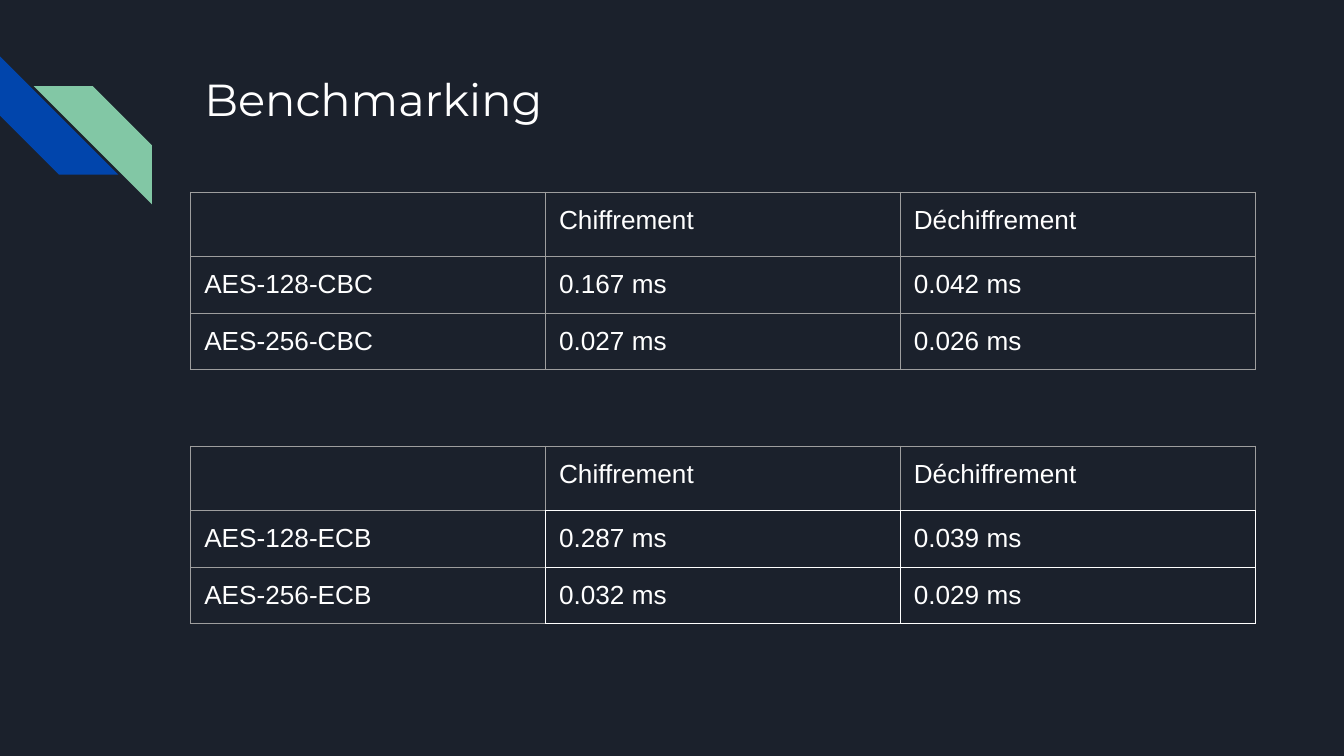
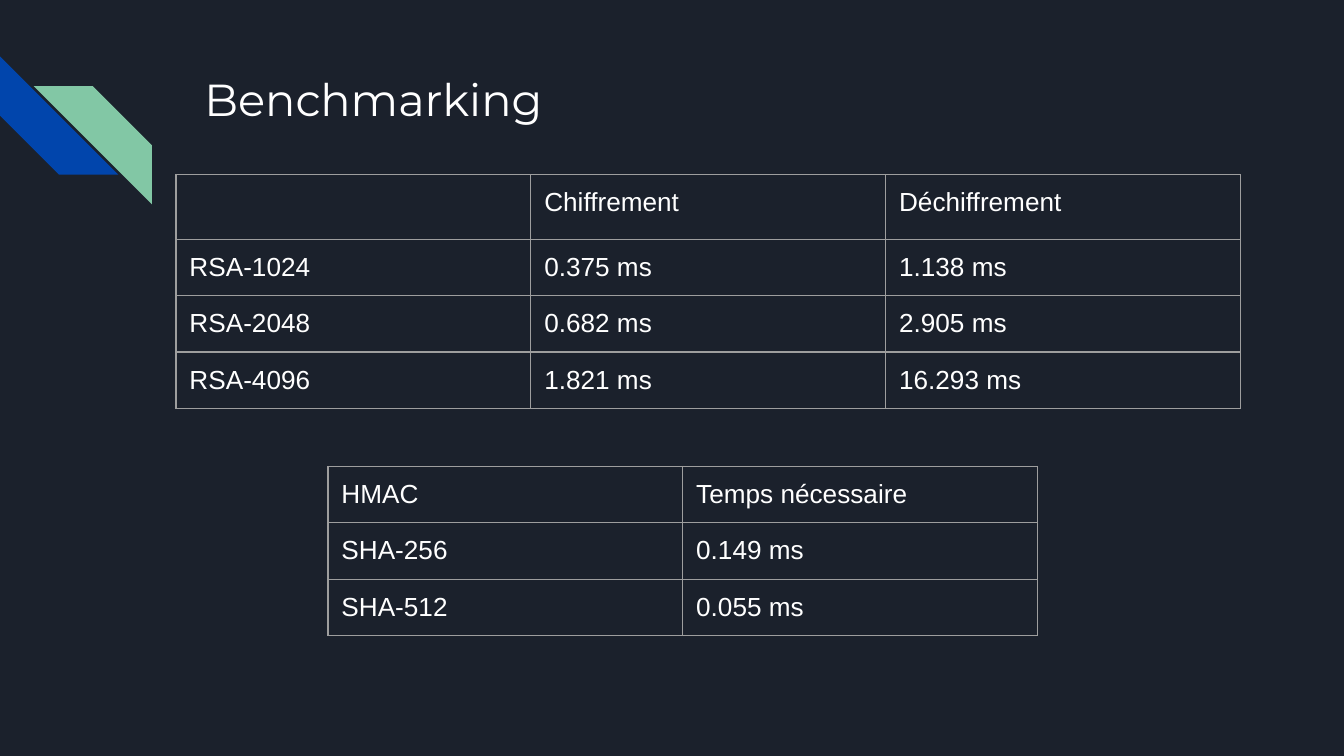
from lxml import etree
from pptx import Presentation
from pptx.dml.color import RGBColor
from pptx.enum import shapes, text
from pptx.oxml import ns
from pptx.util import Inches, Pt

NIGHT = RGBColor(0x1B, 0x21, 0x2C)
BLUE = RGBColor(0x01, 0x45, 0xAC)
GREEN = RGBColor(0x82, 0xC7, 0xA5)
GREY = RGBColor(0x9E, 0x9E, 0x9E)
WHITE = RGBColor(0xFF, 0xFF, 0xFF)

TITLE_FONT = "Montserrat"
BODY_FONT = "Arial"
COLUMN_WIDTH = 2.64
ROW_HEIGHT = 0.42
TALL_HEADER = 0.48
STRIPE_SIZE = 0.88
INSET = Inches(0.1)

OPERATIONS = ("", "Chiffrement", "Déchiffrement")
CBC_TIMES = [
    OPERATIONS,
    ("AES-128-CBC", "0.167 ms", "0.042 ms"),
    ("AES-256-CBC", "0.027 ms", "0.026 ms"),
]
ECB_TIMES = [
    OPERATIONS,
    ("AES-128-ECB", "0.287 ms", "0.039 ms"),
    ("AES-256-ECB", "0.032 ms", "0.029 ms"),
]
RSA_TIMES = [
    OPERATIONS,
    ("RSA-1024", "0.375 ms", "1.138 ms"),
    ("RSA-2048", "0.682 ms", "2.905 ms"),
    ("RSA-4096", "1.821 ms", "16.293 ms"),
]
HMAC_TIMES = [
    ("HMAC", "Temps nécessaire"),
    ("SHA-256", "0.149 ms"),
    ("SHA-512", "0.055 ms"),
]


def write(frame, words, font=BODY_FONT, size=14, color=WHITE):
    paragraph = frame.paragraphs[0]
    paragraph.alignment = text.PP_ALIGN.LEFT
    run = paragraph.add_run()
    run.text = words
    run.font.name = font
    run.font.size = Pt(size)
    run.font.color.rgb = color


def set_margins(holder):
    holder.margin_left = holder.margin_right = INSET
    holder.margin_top = holder.margin_bottom = INSET


def add_stripe(slide, left, top, color, rotation=0, mirrored=False):
    stripe = slide.shapes.add_shape(
        shapes.MSO_SHAPE.DIAGONAL_STRIPE,
        Inches(left), Inches(top), Inches(STRIPE_SIZE), Inches(STRIPE_SIZE))
    stripe.adjustments[0] = 0.5
    stripe.rotation = rotation
    stripe.shadow.inherit = False
    stripe.fill.solid()
    stripe.fill.fore_color.rgb = color
    stripe.line.fill.background()
    if mirrored:
        stripe.element.spPr.xfrm.set("flipH", "1")


def set_title(slide, words):
    title = slide.shapes.title
    title.left, title.top = Inches(1.42), Inches(0.43)
    title.width, title.height = Inches(7.7), Inches(1)
    frame = title.text_frame
    frame.auto_size = text.MSO_AUTO_SIZE.NONE
    frame.vertical_anchor = text.MSO_ANCHOR.TOP
    set_margins(frame)
    write(frame, words, font=TITLE_FONT, size=24)


def set_borders(cell, colors):
    """Draw the left, right, top and bottom edges in the given colours."""
    properties = cell._tc.get_or_add_tcPr()
    for position, (side, color) in enumerate(zip("LRTB", colors)):
        edge = etree.Element(ns.qn(f"a:ln{side}"), w=str(Pt(0.75)))
        fill = etree.SubElement(edge, ns.qn("a:solidFill"))
        etree.SubElement(fill, ns.qn("a:srgbClr"), val=str(color))
        properties.insert(position, edge)


def edge_colors(row, column, value_border):
    """The border colour of the values also shows on the edges they share."""
    if row and column:
        return [value_border] * 4
    right = value_border if row else GREY
    bottom = value_border if column else GREY
    return [GREY, right, GREY, bottom]


def add_timing_table(slide, left, top, timings, value_border=GREY):
    columns = len(timings[0])
    table = slide.shapes.add_table(
        len(timings), columns, Inches(left), Inches(top),
        Inches(COLUMN_WIDTH * columns), Inches(ROW_HEIGHT * len(timings))).table
    table.first_row = table.horz_banding = False
    for column in table.columns:
        column.width = Inches(COLUMN_WIDTH)
    for r, values in enumerate(timings):
        table.rows[r].height = Inches(ROW_HEIGHT if values[0] else TALL_HEADER)
        for c, value in enumerate(values):
            cell = table.cell(r, c)
            set_margins(cell)
            cell.fill.background()
            set_borders(cell, edge_colors(r, c, value_border))
            write(cell.text_frame, value)


def add_benchmark_slide(prs):
    slide = prs.slides.add_slide(prs.slide_layouts.get_by_name("Title Only"))
    add_stripe(slide, 0, 0.42, BLUE, rotation=270)
    add_stripe(slide, 0.25, 0.64, GREEN, mirrored=True)
    set_title(slide, "Benchmarking")
    return slide


def main():
    prs = Presentation()
    prs.slide_width = Inches(10)
    prs.slide_height = prs.slide_width * 9 // 16
    background = prs.slide_master.background.fill
    background.solid()
    background.fore_color.rgb = NIGHT

    symmetric = add_benchmark_slide(prs)
    add_timing_table(symmetric, 1.42, 1.43, CBC_TIMES)
    add_timing_table(symmetric, 1.42, 3.32, ECB_TIMES, value_border=WHITE)

    asymmetric = add_benchmark_slide(prs)
    add_timing_table(asymmetric, 2.44, 3.47, HMAC_TIMES)
    add_timing_table(asymmetric, 1.31, 1.3, RSA_TIMES)

    prs.save("out.pptx")


if __name__ == "__main__":
    main()
